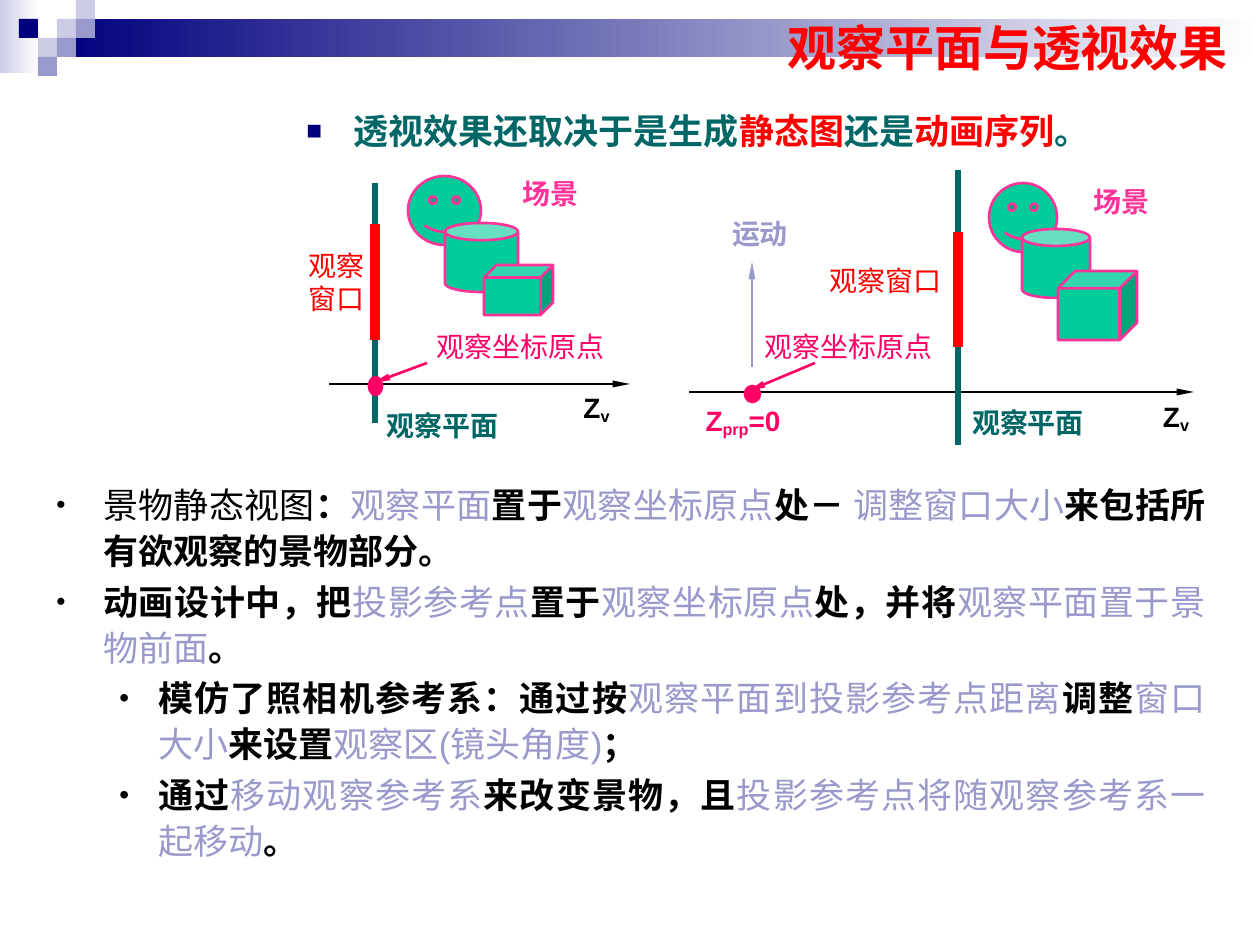
"""Build the slide on the view plane and its perspective effect."""
from dataclasses import dataclass
from typing import Optional, Sequence

import pptx
import pptx.dml.color
import pptx.enum.shapes
import pptx.enum.text
import pptx.oxml.ns
import pptx.util
from lxml import etree

SHAPE = pptx.enum.shapes.MSO_SHAPE
ALIGN = pptx.enum.text.PP_ALIGN
ANCHOR = pptx.enum.text.MSO_ANCHOR
Box = tuple[int, int, int, int]


@dataclass(frozen=True)
class Theme:
    navy: str = "00007D"
    lilac: str = "9999CC"
    pale: str = "CCCCE6"
    white: str = "FFFFFF"
    black: str = "000000"
    red: str = "FF0000"
    teal: str = "006666"
    green: str = "00CC99"
    pink: str = "FF3399"
    magenta: str = "FF0066"
    sans: str = "Arial"
    serif: str = "Times New Roman"
    cjk: str = "Noto Sans CJK SC"
    title_size: int = 28
    body_size: int = 20
    label_size: int = 16


THEME = Theme()


@dataclass(frozen=True)
class Run:
    text: str
    color: str
    bold: bool = True
    font: str = THEME.sans
    baseline: int = 0


@dataclass(frozen=True)
class Bullet:
    char: str
    color: str
    percent: int
    left: int
    hang: int


@dataclass(frozen=True)
class Paragraph:
    runs: Sequence[Run]
    bullet: Optional[Bullet] = None
    level: int = 0


@dataclass(frozen=True)
class Line:
    start: tuple[int, int]
    end: tuple[int, int]
    color: str
    width: float = 1.5
    arrow: bool = True


@dataclass(frozen=True)
class Label:
    box: Box
    paragraphs: Sequence[Paragraph]


@dataclass(frozen=True)
class Diagram:
    face: Box
    cylinder: Box
    cube: Box
    lines: Sequence[Line]
    origin: Box
    pointer: Line
    labels: Sequence[Label]


def px(length: int) -> int:
    return round(length * 914400 / 126)


def rgb(color: str) -> pptx.dml.color.RGBColor:
    return pptx.dml.color.RGBColor.from_string(color)


def add_child(parent, tag: str, **attributes: str):
    child = etree.SubElement(parent, pptx.oxml.ns.qn(tag))
    for key, value in attributes.items():
        child.set(key, value)
    return child


def strong(text: str, font: str = THEME.serif) -> Run:
    return Run(text, THEME.black, True, font)


def soft(text: str, font: str = THEME.serif) -> Run:
    return Run(text, THEME.lilac, False, font)


def label(box: Box, *runs: Run) -> Label:
    return Label(box, [Paragraph(runs)])


def add_solid(slide, kind, box: Box, fill: str, outline: Optional[str] = None, fade_to: Optional[str] = None) -> None:
    solid = slide.shapes.add_shape(kind, *map(px, box))
    solid.shadow.inherit = False
    if fade_to:
        solid.fill.gradient()
        solid.fill.gradient_angle = 0
        for stop, color, position in zip(solid.fill.gradient_stops, (fill, fade_to), (0, 1)):
            stop.color.rgb = rgb(color)
            stop.position = position
    else:
        solid.fill.solid()
        solid.fill.fore_color.rgb = rgb(fill)
    if outline:
        solid.line.color.rgb = rgb(outline)
        solid.line.width = pptx.util.Pt(1.5)
    else:
        solid.line.fill.background()


def add_line(slide, line: Line) -> None:
    stroke = slide.shapes.add_connector(
        pptx.enum.shapes.MSO_CONNECTOR.STRAIGHT, *map(px, line.start + line.end))
    stroke.line.color.rgb = rgb(line.color)
    stroke.line.width = pptx.util.Pt(line.width)
    if line.arrow:
        add_child(stroke.line._get_or_add_ln(), "a:tailEnd", type="triangle", w="sm", len="lg")
    add_child(stroke._element.spPr, "a:effectLst")


def add_text(slide, box: Box, text: Sequence[Paragraph], *, size: int, align=ALIGN.LEFT, anchor=ANCHOR.TOP,
             spacing: float = 1.0, before: float = 0, after: float = 0) -> None:
    frame = slide.shapes.add_textbox(*map(px, box)).text_frame
    frame.word_wrap = True
    frame.vertical_anchor = anchor
    for index, content in enumerate(text):
        paragraph = frame.add_paragraph() if index else frame.paragraphs[0]
        paragraph.alignment = align
        paragraph.level = content.level
        paragraph.line_spacing = spacing
        paragraph.space_before = pptx.util.Pt(before)
        paragraph.space_after = pptx.util.Pt(after)
        bullet = content.bullet
        if bullet:
            properties = paragraph._p.get_or_add_pPr()
            properties.set("marL", str(px(bullet.left)))
            properties.set("indent", str(-px(bullet.hang)))
            add_child(add_child(properties, "a:buClr"), "a:srgbClr", val=bullet.color)
            add_child(properties, "a:buSzPct", val=str(bullet.percent * 1000))
            add_child(properties, "a:buFont", typeface=THEME.sans)
            add_child(properties, "a:buChar", char=bullet.char)
        for part in content.runs:
            run = paragraph.add_run()
            run.text = part.text
            run.font.size = pptx.util.Pt(size)
            run.font.bold = part.bold
            run.font.color.rgb = rgb(part.color)
            run.font.name = part.font
            properties = run._r.get_or_add_rPr()
            add_child(properties, "a:ea", typeface=THEME.cjk)
            if part.baseline:
                properties.set("baseline", str(part.baseline * 1000))


def add_diagram(slide, diagram: Diagram) -> None:
    for kind, box in ((SHAPE.SMILEY_FACE, diagram.face), (SHAPE.CAN, diagram.cylinder), (SHAPE.CUBE, diagram.cube)):
        add_solid(slide, kind, box, THEME.green, THEME.pink)
    for line in diagram.lines:
        add_line(slide, line)
    add_solid(slide, SHAPE.OVAL, diagram.origin, THEME.magenta, THEME.magenta)
    add_line(slide, diagram.pointer)
    for caption in diagram.labels:
        add_text(slide, caption.box, caption.paragraphs, size=THEME.label_size, align=ALIGN.CENTER)


def add_banner(slide) -> None:
    add_solid(slide, SHAPE.RECTANGLE, (0, 0, 39, 73), THEME.pale, fade_to=THEME.white)
    add_solid(slide, SHAPE.RECTANGLE, (57, 19, 1203, 38), THEME.navy, fade_to=THEME.white)
    tile = 19
    for column, row, color in ((3, 1, THEME.pale), (4, 0, THEME.pale), (4, 1, THEME.lilac), (2, 2, THEME.pale),
                               (1, 1, THEME.navy), (3, 2, THEME.lilac), (2, 3, THEME.lilac)):
        add_solid(slide, SHAPE.RECTANGLE, (column * tile, row * tile, tile, tile), color)


SCENE = Run("场景", THEME.pink)
PLANE = Run("观察平面", THEME.teal)
ORIGIN = Run("观察坐标原点", THEME.magenta, False)
Z_AXIS = (Run("Z", THEME.black), Run("v", THEME.black, baseline=-16))
STATIC_VIEW = Diagram(
    (408, 176, 73, 69), (445, 223, 73, 69), (484, 265, 69, 50),
    [Line((329, 384), (630, 384), THEME.black),
     Line((375, 183), (375, 423), THEME.teal, 3, False),
     Line((375, 224), (375, 340), THEME.red, 6, False)],
    (369, 377, 13, 18), Line((427, 363), (373, 383), THEME.magenta),
    [Label((290, 242, 93, 81), [Paragraph([Run(half, THEME.red, False)]) for half in ("观察", "窗口")]),
     label((370, 402, 145, 47), PLANE), label((563, 384, 67, 49), *Z_AXIS),
     label((500, 170, 102, 47), SCENE), label((410, 323, 221, 47), ORIGIN)])
ANIMATED_VIEW = Diagram(
    (989, 183, 68, 69), (1022, 229, 68, 69), (1058, 271, 79, 69),
    [Line((689, 392), (1194, 392), THEME.black),
     Line((958, 170), (958, 445), THEME.teal, 3, False),
     Line((958, 232), (958, 347), THEME.red, 6, False),
     Line((752, 367), (752, 262), THEME.lilac)],
    (745, 386, 15, 16), Line((815, 363), (748, 391), THEME.magenta),
    [label((805, 257, 161, 47), Run("观察窗口", THEME.red, False)),
     label((956, 399, 144, 47), PLANE), label((1145, 393, 62, 49), *Z_AXIS),
     label((675, 397, 136, 49), Run("Z", THEME.magenta), Run("prp", THEME.magenta, baseline=-16),
           Run("=0", THEME.magenta)),
     label((716, 210, 88, 47), Run("运动", THEME.lilac)),
     label((1074, 178, 95, 47), SCENE), label((738, 323, 221, 47), ORIGIN)])

SQUARE = Bullet("■", THEME.navy, 75, 47, 47)
DOT = Bullet("•", THEME.black, 75, 47, 47)
SUB_DOT = Bullet("•", THEME.black, 80, 102, 39)
LEAD = [Paragraph([Run("透视效果还取决于是生成", THEME.teal), Run("静态图", THEME.red), Run("还是", THEME.teal),
                   Run("动画序列", THEME.red), Run("。", THEME.teal)], SQUARE)]
EXPLANATION = [
    Paragraph([Run("景物静态视图", THEME.black, False, THEME.serif), strong("："), soft("观察平面"), strong("置于"),
               soft("观察坐标原点"), strong("处－ "), soft("调整窗口大小", THEME.cjk),
               strong("来包括所有欲观察的景物部分。", THEME.cjk)], DOT),
    Paragraph([strong("动画设计中，把"), soft("投影参考点"), strong("置于"), soft("观察坐标原点"),
               strong("处，并将"), soft("观察平面置于景物前面"), strong("。")], DOT),
    Paragraph([strong("模仿了照相机参考系：通过按"), soft("观察平面到投影参考点距离"), strong("调整"), soft("窗口大小"),
               strong("来设置"), soft("观察区(镜头角度)", THEME.sans), strong("；")], SUB_DOT, 1),
    Paragraph([strong("通过"), soft("移动观察参考系"), strong("来改变景物，且"),
               soft("投影参考点将随观察参考系一起移动"), strong("。")], SUB_DOT, 1)]


def main() -> None:
    deck = pptx.Presentation()
    deck.slide_width, deck.slide_height = px(1260), px(945)
    slide = deck.slides.add_slide(deck.slide_layouts[6])
    add_banner(slide)
    add_text(slide, (775, 10, 474, 73), [Paragraph([Run("观察平面与透视效果", THEME.red)])],
             size=THEME.title_size, anchor=ANCHOR.MIDDLE)
    add_text(slide, (294, 95, 926, 77), LEAD, size=THEME.body_size, align=ALIGN.JUSTIFY, spacing=1.2, before=5)
    add_text(slide, (44, 473, 1174, 426), EXPLANATION, size=THEME.body_size, align=ALIGN.JUSTIFY,
             spacing=1.1, after=2.5)
    for diagram in (STATIC_VIEW, ANIMATED_VIEW):
        add_diagram(slide, diagram)
    deck.save("out.pptx")


if __name__ == "__main__":
    main()
